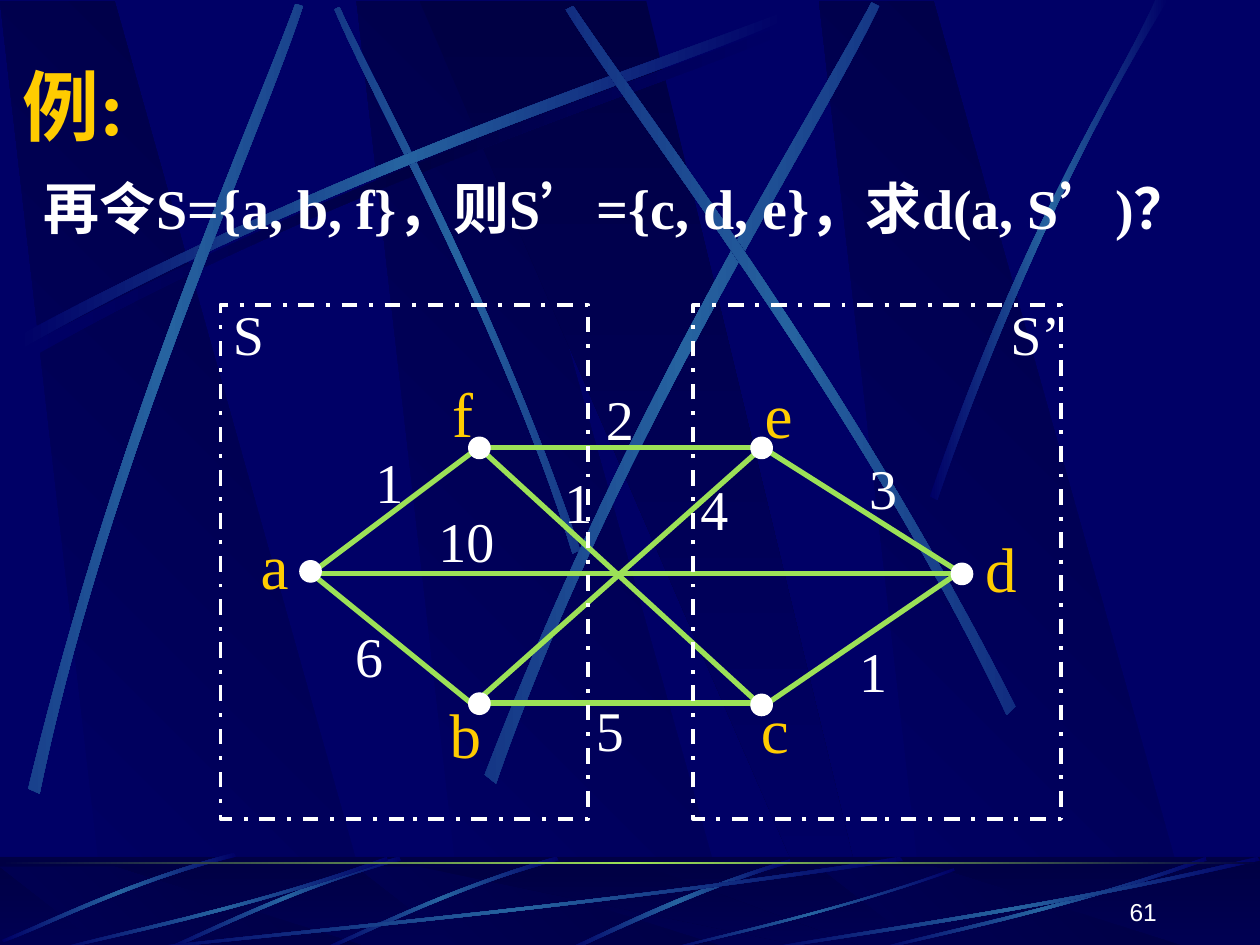
import math
from dataclasses import dataclass

from lxml import etree
from pptx import Presentation
from pptx import util as u
from pptx.dml.color import RGBColor
from pptx.enum import dml, shapes, text
from pptx.oxml.ns import qn


@dataclass(frozen=True)
class Theme:
    navy: str = "000066"
    dark: str = "000044"
    streak: str = "2663A0"
    green: str = "9CE157"
    gold: str = "FFCC00"
    white: str = "FFFFFF"
    serif: str = "Times New Roman"
    sans: str = "Arial"
    title: int = 44
    vertex: int = 36
    body: int = 32
    number: int = 14


THEME = Theme()


def write(box, words, size=THEME.body, color=THEME.white, font=THEME.serif, bold=False,
          align=None, anchor=text.MSO_ANCHOR.TOP, wrap=True):
    frame = box.text_frame
    frame.word_wrap = wrap
    frame.vertical_anchor = anchor
    para = frame.paragraphs[0]
    para.alignment = align
    span = para.add_run()
    span.text = words
    span.font.size = u.Pt(size)
    span.font.name = font
    span.font.bold = bold
    span.font.color.rgb = RGBColor.from_string(color)


def turn_back(points, degrees):
    """Turn points by -degrees about the centre of their bounds."""
    center_x, center_y = ((min(values) + max(values)) / 2 for values in zip(*points))
    cos, sin = math.cos(math.radians(degrees)), math.sin(math.radians(degrees))
    return [(center_x + (x - center_x) * cos + (y - center_y) * sin,
             center_y - (x - center_x) * sin + (y - center_y) * cos) for x, y in points]


class Painter:
    def __init__(self, page, theme):
        self.page = page
        self.theme = theme

    def gradient(self, shape, colors, angle):
        shape.fill.gradient()
        fill = shape._element.spPr.find(qn("a:gradFill"))
        fill.set("rotWithShape", "0")
        stops = fill.find(qn("a:gsLst"))
        for stop in list(stops):
            stops.remove(stop)
        for index, color in enumerate(colors):
            position = str(index * 100000 // (len(colors) - 1))
            stop = etree.SubElement(stops, qn("a:gs"), pos=position)
            etree.SubElement(stop, qn("a:srgbClr"), val=color)
        fill.find(qn("a:lin")).set("ang", str(angle * 60000))

    def outline(self, points, colors, angle=0):
        emu = [(u.Inches(x), u.Inches(y)) for x, y in points]
        builder = self.page.shapes.build_freeform(*emu[0], scale=1.0)
        builder.add_line_segments(emu[1:], close=True)
        shape = builder.convert_to_shape()
        shape.shadow.inherit = False
        shape.line.fill.background()
        self.gradient(shape, colors, angle)
        return shape

    def streak(self, rotation, numbers, end, middle):
        points = turn_back(list(zip(numbers[::2], numbers[1::2])), rotation)
        shape = self.outline(points, (end, middle, end))
        shape.rotation = rotation
        # Both long sides become cubic curves
        lines = list(shape._element.spPr.iter(qn("a:lnTo")))
        for side in (lines[:3], lines[4:7]):
            cubic = etree.Element(qn("a:cubicBezTo"))
            side[0].addprevious(cubic)
            for line in side:
                cubic.append(line[0])
                line.getparent().remove(line)

    def shape(self, kind, left, top, width, height, fill=None, line=None, weight=0.75):
        shape = self.page.shapes.add_shape(kind, *map(u.Inches, (left, top, width, height)))
        shape.shadow.inherit = False
        if fill:
            shape.fill.solid()
            shape.fill.fore_color.rgb = RGBColor.from_string(fill)
        else:
            shape.fill.background()
        if line:
            shape.line.color.rgb = RGBColor.from_string(line)
            shape.line.width = u.Pt(weight)
        else:
            shape.line.fill.background()
        return shape

    def band(self, top, height, colors, angle):
        band = self.shape(shapes.MSO_SHAPE.RECTANGLE, 0, top, 10, height)
        self.gradient(band, colors, angle)

    def edge(self, *ends):
        line = self.page.shapes.add_connector(
            shapes.MSO_CONNECTOR.STRAIGHT, *map(u.Inches, ends))
        line.line.color.rgb = RGBColor.from_string(self.theme.green)
        line.line.width = u.Pt(3)
        etree.SubElement(line._element.spPr, qn("a:effectLst"))

    def label(self, words, left, top, width, height, **style):
        box = self.page.shapes.add_textbox(*map(u.Inches, (left, top, width, height)))
        write(box, words, **style)


# Slanted panels: the same outline at each left
PANEL_LEFTS = (2.83, 0, 6.5)

# Streaks: rotation, then two curved sides of four points each
SHADE = (0, (0.2, 2.75, 2.84, 1.34, 5.24, 0.59, 6.26, 0.18, 6.29, 0.24, 5.28, 0.69, 2.54, 1.51, 0.23, 2.85))
SKY = [
    (45, (4.6, 4.36, 3.91, 2.34, 3.02, 0.77, 2.69, 0.05, 2.65, 0.07, 2.95, 0.79, 3.98, 2.58, 4.54, 4.39)),
    (0, (0.14, 2.67, 2.78, 1.25, 5.18, 0.51, 6.2, 0.1, 6.23, 0.16, 5.22, 0.61, 2.48, 1.43, 0.17, 2.77)),
    (311.7, (0.23, 6.25, 0.93, 3.34, 1.97, 1.05, 2.35, 0.02, 2.41, 0.04, 2.07, 1.09, 0.86, 3.68, 0.32, 6.29)),
    (321.6, (3.85, 6.14, 4.98, 3.2, 6.38, 1.02, 6.92, 0.01, 6.98, 0.04, 6.49, 1.08, 4.86, 3.55, 3.94, 6.21)),
    (34.7, (8.06, 5.6, 6.7, 2.93, 5.16, 0.95, 4.55, 0.04, 4.49, 0.07, 5.07, 1.01, 6.85, 3.25, 7.99, 5.67)),
    (0, (7.38, 3.94, 8.14, 1.73, 8.88, 0.66, 9.17, 0, 9.27, 0, 8.36, 1.45, 7.69, 3.22, 7.44, 3.97)),
]
FLOOR = [
    (0, (6.27, 6.82, 5.37, 7.09, 4.77, 7.42, 4.48, 7.54, 4.53, 7.55, 4.9, 7.38, 5.71, 7, 6.28, 6.85)),
    (315, (4.42, 6.8, 3.55, 7.05, 2.87, 7.4, 2.56, 7.53, 2.57, 7.55, 2.88, 7.43, 3.65, 7.03, 4.44, 6.83)),
    (315, (3.17, 6.8, 2.3, 7.05, 1.62, 7.4, 1.31, 7.53, 1.32, 7.55, 1.63, 7.43, 2.4, 7.03, 3.19, 6.83)),
    (315, (1.86, 6.77, 0.99, 7, 0.33, 7.34, 0.02, 7.46, 0.03, 7.48, 0.34, 7.37, 1.1, 6.98, 1.88, 6.8)),
    (0, (7.17, 6.83, 4.49, 7.23, 2.06, 7.44, 1.03, 7.55, 1, 7.54, 2.02, 7.41, 4.8, 7.18, 7.14, 6.8)),
    (0, (3.08, 6.83, 1.93, 7.23, 0.88, 7.44, 0.43, 7.55, 0.42, 7.54, 0.86, 7.41, 2.06, 7.18, 3.07, 6.8)),
    (0, (7.58, 6.91, 6.58, 7.26, 5.67, 7.45, 5.28, 7.55, 5.27, 7.54, 5.65, 7.43, 6.69, 7.22, 7.57, 6.89)),
    (0, (9.58, 6.83, 8.43, 7.23, 7.38, 7.44, 6.93, 7.55, 6.92, 7.54, 7.36, 7.41, 8.56, 7.18, 9.57, 6.8)),
    (0, (10, 6.83, 8.27, 7.23, 6.69, 7.44, 6.02, 7.55, 6, 7.54, 6.66, 7.41, 8.46, 7.18, 9.98, 6.8)),
]

# Vertices: left and top of the dot, then left, top and width of the name
VERTICES = {
    "a": (2.38, 4.45, 1.97, 4.13, 0.42), "b": (3.72, 5.5, 3.47, 5.47, 0.45),
    "c": (5.96, 5.51, 5.94, 5.43, 0.42), "d": (7.55, 4.47, 7.72, 4.15, 0.45),
    "e": (5.96, 3.47, 5.97, 2.93, 0.42), "f": (3.72, 3.47, 3.49, 2.92, 0.37),
}
# Edges: both ends, the weight, then left and top of the weight
EDGES = [
    ((3.8, 5.55, 6.05, 3.55), "4", 5.46, 3.72), ((3.8, 3.55, 6.04, 5.6), "1", 4.38, 3.66),
    ((2.47, 4.55, 3.8, 5.63), "6", 2.72, 4.88), ((3.8, 5.58, 6.05, 5.58), "5", 4.63, 5.47),
    ((6.05, 5.61, 7.63, 4.53), "1", 6.72, 5), ((2.47, 4.55, 7.63, 4.55), "10", 3.38, 3.97),
    ((2.47, 4.55, 3.8, 3.55), "1", 2.88, 3.5), ((3.8, 3.55, 6.05, 3.55), "2", 4.71, 3),
    ((6.05, 3.55, 7.63, 4.55), "3", 6.8, 3.55),
]


def draw_panels(painter, top, bottom):
    theme = painter.theme
    for left in PANEL_LEFTS:
        corners = [(left + 0.86, bottom), (left + 3.02, bottom), (left + 0.91, top), (left, top)]
        painter.outline(corners, (theme.navy, theme.dark), 315)
    painter.outline([(3.33, top), (6.58, bottom), (6.94, bottom), (5.13, top)],
                    (theme.dark, theme.navy), 90)


def draw_backdrop(painter):
    theme = painter.theme
    draw_panels(painter, 0.01, 7.52)
    painter.streak(*SHADE, theme.navy, theme.dark)
    for rotation, numbers in SKY:
        painter.streak(rotation, numbers, theme.navy, theme.streak)
    # Floor strip
    painter.band(6.8, 0.75, (theme.dark, theme.navy), 90)
    draw_panels(painter, 6.88, 7.55)
    veil = painter.shape(shapes.MSO_SHAPE.RECTANGLE, 0, 6.8, 10, 0.75, fill=theme.dark)
    color = veil._element.spPr.find(qn("a:solidFill")).find(qn("a:srgbClr"))
    etree.SubElement(color, qn("a:alpha"), val="50000")
    for rotation, numbers in FLOOR:
        painter.streak(rotation, numbers, theme.navy, theme.streak)
    painter.band(6.84, 0.02, (theme.dark, theme.green, theme.dark), 0)


def draw_graph(painter):
    theme = painter.theme
    for ends, weight, left, top in EDGES:
        painter.edge(*ends)
        painter.label(weight, left, top, 0.42 if len(weight) == 1 else 0.65, 0.63, wrap=False)
    for name, (x, y, left, top, width) in VERTICES.items():
        painter.shape(shapes.MSO_SHAPE.OVAL, x, y, 0.17, 0.17, fill=theme.white, line=theme.white)
        painter.label(name, left, top, width, 0.7, size=theme.vertex, color=theme.gold, wrap=False)
    # The two vertex sets
    for left, name, name_left, width in ((5.5, "S’", 7.92, 0.6), (1.75, "S", 1.75, 0.45)):
        border = painter.shape(shapes.MSO_SHAPE.RECTANGLE, left, 2.42, 2.92, 4.08,
                               line=theme.white, weight=2.25)
        border.line.dash_style = dml.MSO_LINE.DASH_DOT
        painter.label(name, name_left, 2.33, width, 0.63, wrap=False)


def main():
    deck = Presentation()
    deck.slide_width, deck.slide_height = u.Inches(10), u.Inches(7.5)
    page = deck.slides.add_slide(deck.slide_layouts[6])
    page.background.fill.solid()
    page.background.fill.fore_color.rgb = RGBColor.from_string(THEME.navy)
    painter = Painter(page, THEME)
    draw_backdrop(painter)
    # Question
    painter.label("例:", 0.08, 0.42, 8.92, 0.83, size=THEME.title, color=THEME.gold,
                  bold=True, anchor=text.MSO_ANCHOR.MIDDLE)
    painter.label("再令S={a, b, f}，则S’={c, d, e}，求d(a, S’)？", 0.25, 1.33, 9.5, 1.33, bold=True)
    draw_graph(painter)
    # Slide number
    painter.label("61", 7.2, 6.9, 2.08, 0.5, size=THEME.number, font=THEME.sans,
                  align=text.PP_ALIGN.RIGHT, anchor=text.MSO_ANCHOR.BOTTOM)
    deck.save("out.pptx")


if __name__ == "__main__":
    main()
